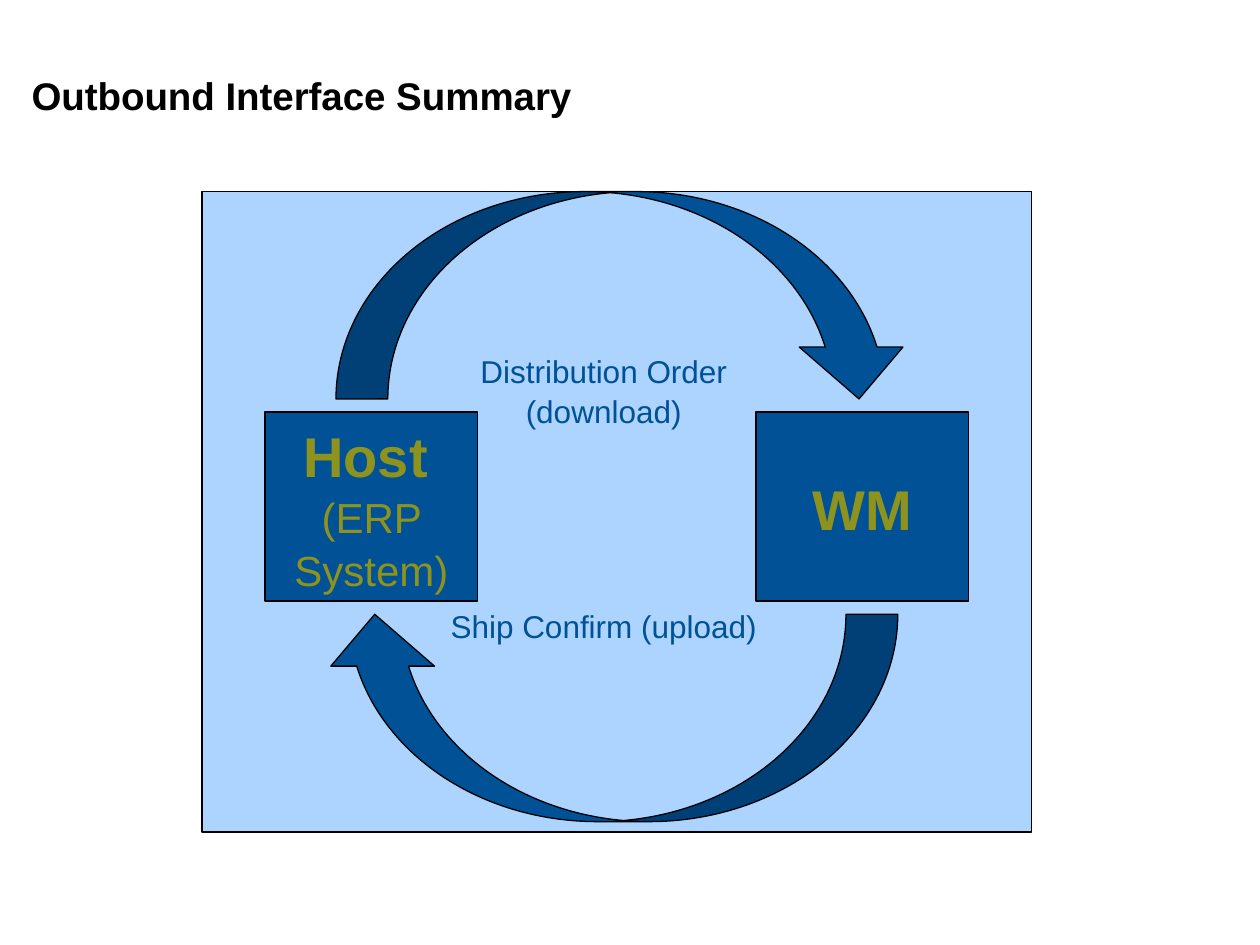
from pptx import Presentation
from pptx.dml.color import RGBColor
from pptx.enum.shapes import MSO_SHAPE
from pptx.enum.text import MSO_ANCHOR, MSO_AUTO_SIZE, PP_ALIGN
from pptx.util import Pt

BLACK = RGBColor(0x00, 0x00, 0x00)
SKY = RGBColor(0xAC, 0xD4, 0xFF)
BLUE = RGBColor(0x00, 0x51, 0x95)
OLIVE = RGBColor(0x8E, 0x93, 0x1E)


class Deck:
    font = "Arial"
    lead = 1.05

    def __init__(self, wide, high):
        self.prs = Presentation()
        self.prs.slide_width, self.prs.slide_height = Pt(wide), Pt(high)
        self.slide = self.prs.slides.add_slide(self.prs.slide_layouts[5])

    def style(self, para, size, color, bold=False, align=PP_ALIGN.CENTER):
        para.alignment = align
        para.line_spacing = self.lead
        font = para.font
        font.name, font.size, font.bold = self.font, Pt(size), bold
        font.color.rgb = color

    def title(self, text, left, top, wide, high):
        shape = self.slide.shapes.title
        shape.left, shape.top = Pt(left), Pt(top)
        shape.width, shape.height = Pt(wide), Pt(high)
        frame = shape.text_frame
        frame.text = text
        frame.auto_size = MSO_AUTO_SIZE.NONE
        frame.vertical_anchor = MSO_ANCHOR.TOP
        self.style(frame.paragraphs[0], 22, BLACK, True, PP_ALIGN.LEFT)

    def shape(self, kind, left, top, wide, high, fill=BLUE):
        shape = self.slide.shapes.add_shape(
            kind, Pt(left), Pt(top), Pt(wide), Pt(high))
        shape.shadow.inherit = False
        shape.fill.solid()
        shape.fill.fore_color.rgb = fill
        shape.line.color.rgb = BLACK
        shape.line.width = Pt(0.75)
        return shape

    def system(self, name, left, note=None):
        """Add a box with a bold name and an optional plain note below it."""
        box = self.shape(MSO_SHAPE.RECTANGLE, left, 235.5, 121.5, 108)
        frame = box.text_frame
        frame.word_wrap = True
        frame.vertical_anchor = MSO_ANCHOR.MIDDLE
        head = frame.paragraphs[0]
        head.text = name
        self.style(head, 32, OLIVE, True)
        if note:
            gap = head.add_run()
            gap.text = " "
            gap.font.size, gap.font.bold = Pt(24), False
            para = frame.add_paragraph()
            para.text = note
            self.style(para, 24, OLIVE)

    def arrow(self, left, top, turn=0):
        shape = self.shape(MSO_SHAPE.CURVED_DOWN_ARROW, left, top, 328.5, 118.5)
        shape.rotation = turn

    def label(self, text, top):
        box = self.slide.shapes.add_textbox(
            Pt(235.5), Pt(top), Pt(219), Pt(65.5))
        frame = box.text_frame
        frame.word_wrap = True
        frame.text = text
        self.style(frame.paragraphs[0], 18, BLUE)


def main():
    deck = Deck(720, 540)
    deck.shape(MSO_SHAPE.RECTANGLE, 115.5, 109.5, 474, 366, SKY)
    deck.title("Outbound Interface Summary", 10.8, 36, 671, 24)
    deck.system("Host", 151.5, "(ERP System)")
    deck.system("WM", 432)
    deck.arrow(192, 109.5)
    deck.arrow(184.5, 351, 180)
    deck.label("Distribution Order (download)", 196.5)
    deck.label("Ship Confirm (upload)", 342)
    deck.prs.save("out.pptx")


if __name__ == "__main__":
    main()
